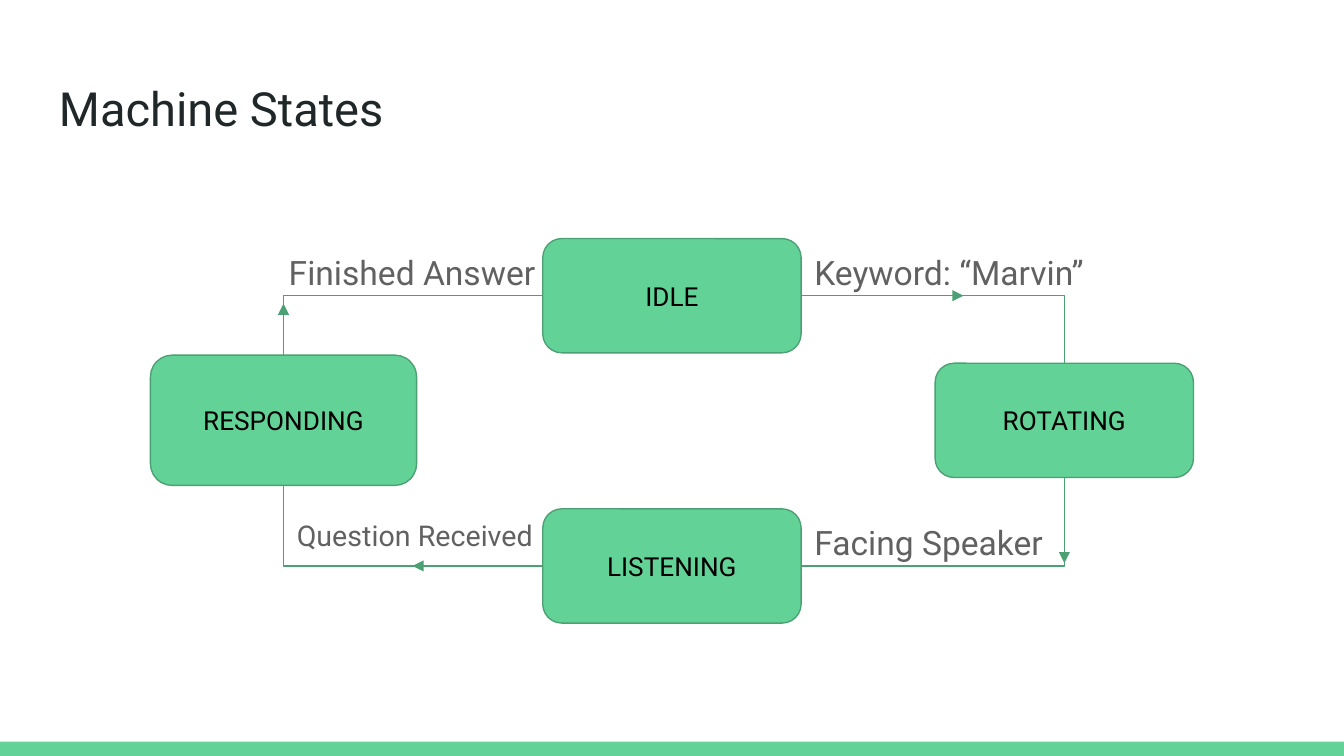
import collections

import pptx
import pptx.dml.color
import pptx.enum.shapes
import pptx.enum.text
import pptx.oxml.ns
import pptx.util
from lxml import etree

Pt = pptx.util.Pt
RGBColor = pptx.dml.color.RGBColor
MSO_SHAPE = pptx.enum.shapes.MSO_SHAPE
MSO_CONNECTOR = pptx.enum.shapes.MSO_CONNECTOR
qn = pptx.oxml.ns.qn

FONT = "Roboto"
GREEN = RGBColor(0x63, 0xD2, 0x97)
DARK_GREEN = RGBColor(0x4B, 0xA1, 0x73)
BLACK = RGBColor(0x00, 0x00, 0x00)
TITLE_COLOR = RGBColor(0x20, 0x27, 0x29)
LABEL_COLOR = RGBColor(0x61, 0x61, 0x61)

SLIDE_WIDTH, SLIDE_HEIGHT = 720, 405
BAR_HEIGHT = 7.6
INSET = 7.2
LINE_WIDTH = 0.75

State = collections.namedtuple("State", "name x y width height")
IDLE = State("IDLE", 360, 158.4, 138.4, 61.2)
ROTATING = State("ROTATING", 570.2, 225.2, 138.4, 61.2)
LISTENING = State("LISTENING", 360, 303.2, 138.4, 61.2)
RESPONDING = State("RESPONDING", 151.9, 225.2, 142.6, 69.8)


def style_text(shape, text, size, color):
    frame = shape.text_frame
    frame.word_wrap = True
    frame.margin_left = frame.margin_right = Pt(INSET)
    frame.margin_top = frame.margin_bottom = Pt(INSET)
    frame.text = text
    paragraph = frame.paragraphs[0]
    paragraph.font.name = FONT
    paragraph.font.size = Pt(size)
    paragraph.font.color.rgb = color
    return paragraph


def add_text(slide, text, left, top, width, height, size=18, color=LABEL_COLOR):
    box = slide.shapes.add_textbox(Pt(left), Pt(top), Pt(width), Pt(height))
    return style_text(box, text, size, color)


def add_filled_shape(slide, kind, left, top, width, height):
    shape = slide.shapes.add_shape(kind, Pt(left), Pt(top), Pt(width), Pt(height))
    shape.shadow.inherit = False
    shape.fill.solid()
    shape.fill.fore_color.rgb = GREEN
    shape.line.fill.background()
    return shape


def add_state(slide, state):
    shape = add_filled_shape(
        slide, MSO_SHAPE.ROUNDED_RECTANGLE,
        state.x - state.width / 2, state.y - state.height / 2,
        state.width, state.height)
    shape.line.color.rgb = DARK_GREEN
    shape.line.width = Pt(LINE_WIDTH)
    paragraph = style_text(shape, state.name, 14, BLACK)
    paragraph.alignment = pptx.enum.text.PP_ALIGN.CENTER
    shape.text_frame.vertical_anchor = pptx.enum.text.MSO_ANCHOR.MIDDLE


def add_line(slide, kind, start, end):
    connector = slide.shapes.add_connector(
        kind, *(Pt(value) for value in (*start, *end)))
    connector.line.color.rgb = DARK_GREEN
    connector.line.width = Pt(LINE_WIDTH)
    etree.SubElement(connector._element.spPr, qn("a:effectLst"))
    return connector


def add_corner(slide, middle, side):
    """Join a middle state to a side state: level first, then one turn."""
    direction = 1 if side.x > middle.x else -1
    facing = 1 if middle.y > side.y else -1
    start = (middle.x + direction * middle.width / 2, middle.y)
    end = (side.x, side.y + facing * side.height / 2)
    connector = add_line(slide, MSO_CONNECTOR.ELBOW, start, end)
    geometry = connector._element.spPr.find(qn("a:prstGeom"))
    geometry.set("prst", "bentConnector2")


def add_arrow(slide, start, end):
    connector = add_line(slide, MSO_CONNECTOR.STRAIGHT, start, end)
    line = connector.line._get_or_add_ln()
    etree.SubElement(line, qn("a:tailEnd"), type="triangle")


def main():
    presentation = pptx.Presentation()
    presentation.slide_width = Pt(SLIDE_WIDTH)
    presentation.slide_height = Pt(SLIDE_HEIGHT)
    slide = presentation.slides.add_slide(presentation.slide_layouts[6])

    add_filled_shape(slide, MSO_SHAPE.RECTANGLE, 0, SLIDE_HEIGHT - BAR_HEIGHT,
                     SLIDE_WIDTH, BAR_HEIGHT)
    add_text(slide, "Machine States", 24.5, 35.3, 671, 45.4, 25.2, TITLE_COLOR)

    for state in (IDLE, ROTATING, LISTENING, RESPONDING):
        add_state(slide, state)
    for middle in (IDLE, LISTENING):
        for side in (ROTATING, RESPONDING):
            add_corner(slide, middle, side)

    middle_left = IDLE.x - IDLE.width / 2
    middle_right = IDLE.x + IDLE.width / 2
    add_arrow(slide, (middle_right, IDLE.y), (516.2, IDLE.y))
    add_arrow(slide, (ROTATING.x, 257.8), (ROTATING.x, 301.7))
    add_arrow(slide, (middle_left, LISTENING.y), (221, LISTENING.y))
    add_arrow(slide, (RESPONDING.x, 190.1), (RESPONDING.x, 162.7))

    upper = IDLE.y - IDLE.height / 2
    lower = LISTENING.y - LISTENING.height / 2
    add_text(slide, "Keyword: “Marvin”", middle_right, upper, 201.6, 61.2)
    add_text(slide, "Facing Speaker", middle_right, lower, 159.1, 43.2)
    add_text(slide, "Finished Answer", 147.6, upper, 159.1, 43.2)
    question = add_text(slide, "Question Received", 151.9, lower, 150.5, 36, 15.3)
    question.line_spacing = 0.9

    presentation.save("out.pptx")


if __name__ == "__main__":
    main()
